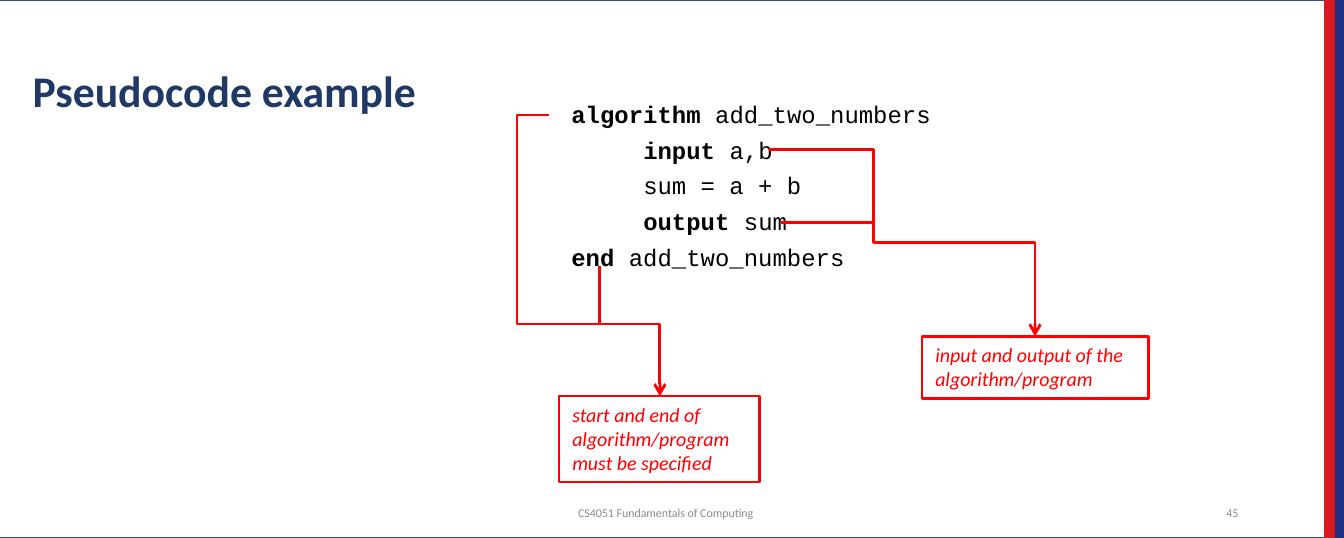
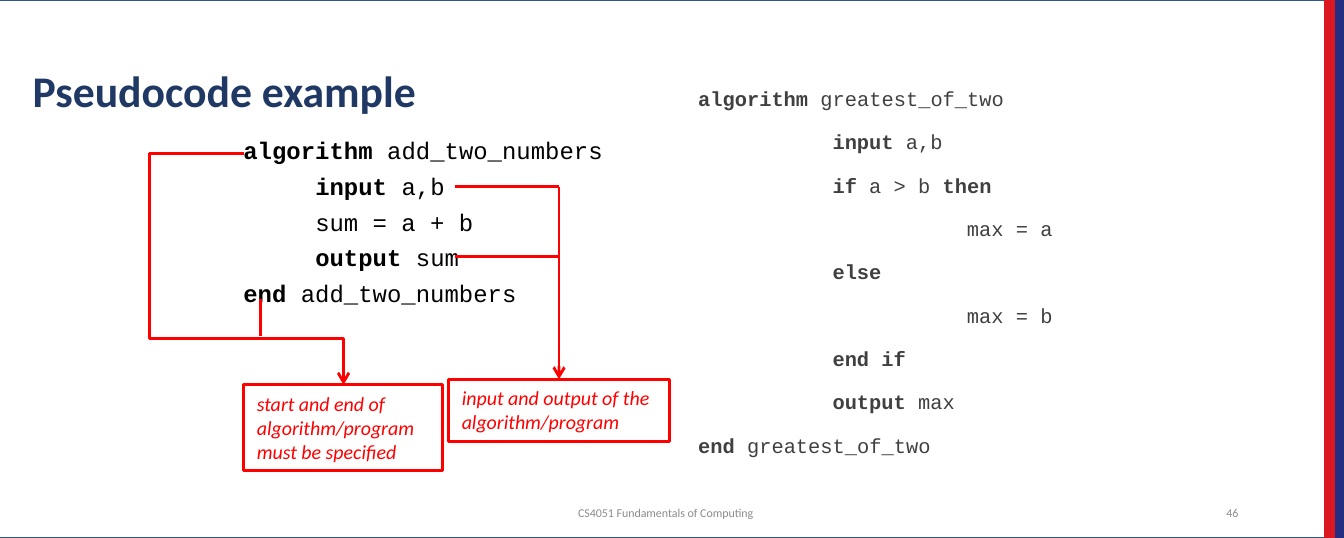
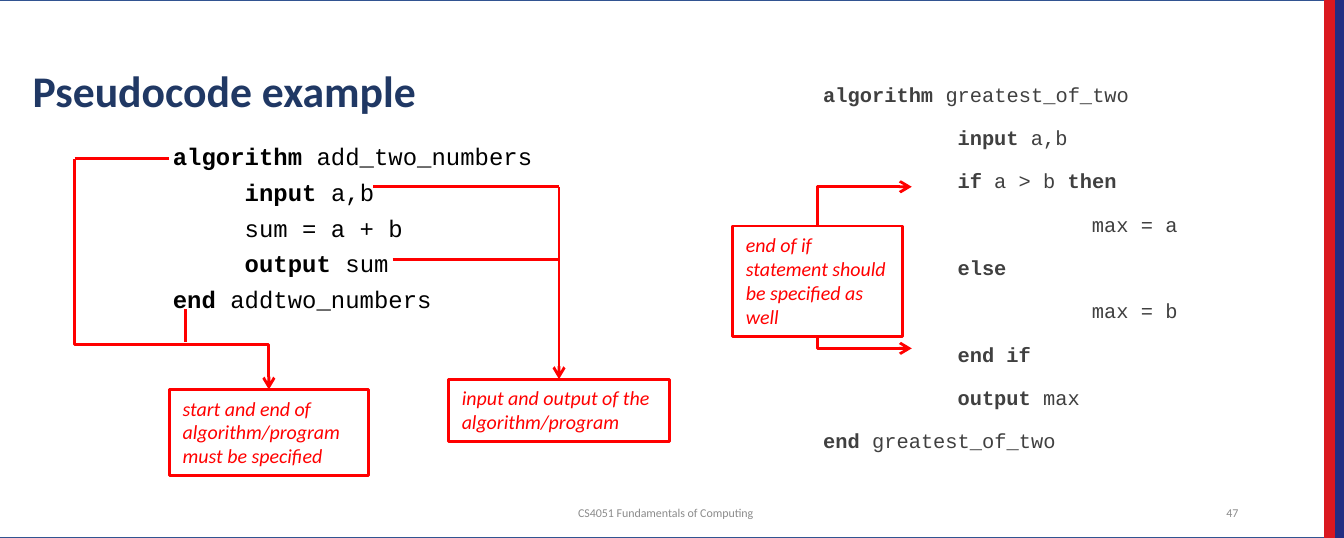
from lxml.etree import SubElement
from pptx import Presentation
from pptx.dml.color import RGBColor
from pptx.enum.shapes import MSO_CONNECTOR, MSO_SHAPE
from pptx.enum.text import MSO_ANCHOR, PP_ALIGN
from pptx.oxml.ns import qn
from pptx.util import Pt

WHITE = RGBColor(0xFF, 0xFF, 0xFF)
BLACK = RGBColor(0x00, 0x00, 0x00)
DARK_GREY = RGBColor(0x40, 0x40, 0x40)
GREY = RGBColor(0x8C, 0x8C, 0x8C)
NAVY = RGBColor(0x20, 0x38, 0x64)
FRAME_BLUE = RGBColor(0x32, 0x54, 0x91)
BAND_BLUE = RGBColor(0x23, 0x2D, 0x82)
BAND_RED = RGBColor(0xDA, 0x18, 0x20)
RED = RGBColor(0xFF, 0x00, 0x00)

# Frame and side bands: box, fill, line
BANDS = [
    ((-5, 0, 715, 288), WHITE, FRAME_BLUE),
    ((715, 0, 5, 288), BAND_BLUE, BAND_BLUE),
    ((710, 0, 5, 288), BAND_RED, BAND_RED),
]

# Code listings: indent level, then runs of (text, bold)
ADD_TWO = [
    (0, [("algorithm ", True), ("add_two_numbers", False)]),
    (1, [("input ", True), ("a,b", False)]),
    (1, [("sum = a + b", False)]),
    (1, [("output", True), (" sum", False)]),
    (0, [("end ", True), ("add_two_numbers", False)]),
]
ADD_TWO_LAST = ADD_TWO[:-1] + [(0, [("end ", True), ("addtwo_numbers", False)])]
GREATEST = [
    (0, [("algorithm ", True), ("greatest_of_two", False)]),
    (1, [("input ", True), ("a,b", False)]),
    (1, [("if", True), (" a > b ", False), ("then", True)]),
    (2, [("max = a", False)]),
    (1, [("else", True)]),
    (2, [("max = b", False)]),
    (1, [("end if", True)]),
    (1, [("output", True), (" max", False)]),
    (0, [("end ", True), ("greatest_of_two", False)]),
]

# Listing styles: size, colour, indent step, line height, space before, after, insets
LARGE = (12.8, BLACK, 38.5, 14, 5.2, 0, (7.2, 3.6))
SMALL = (10.9, DARK_GREY, 72, 9.2, 12, 2, (0, 2))

START_END = "start and end of algorithm/program must be specified"
IN_OUT = "input and output of the algorithm/program"
END_IF = "end of if statement should be specified as well"

# Each slide: listings, notes, arrows and plain lines
SLIDES = [
    dict(
        number="45",
        listings=[(294, 51, ADD_TWO, LARGE)],
        notes=[((299.5, 212, 107.5, 46), START_END),
               ((494, 180, 121.5, 33.3), IN_OUT)],
        arrows=[[(294, 61.5), (277, 61.5), (277, 173.5), (353.5, 173.5), (353.5, 212)],
                [(468, 80), (468, 130), (554.5, 130), (554.5, 180)]],
        lines=[[(321, 142.5), (321, 173.5)],
               [(412, 80), (468, 80)], [(418.5, 119), (468, 119)]],
    ),
    dict(
        number="46",
        listings=[(118.3, 70.3, ADD_TWO, LARGE), (369, 48, GREATEST, SMALL)],
        notes=[((130.5, 206, 106.5, 46), START_END),
               ((240.3, 203, 118.3, 33.3), IN_OUT)],
        arrows=[[(80, 82), (80, 181.5), (184, 181.5), (184, 206)],
                [(299.5, 100), (299.5, 203)]],
        lines=[[(80, 82), (130.5, 82)], [(139.5, 160), (139.5, 180)],
               [(243.5, 100), (299.5, 100)], [(243.5, 137.5), (299.5, 137.5)]],
    ),
    dict(
        number="47",
        listings=[(80.5, 73.5, ADD_TWO_LAST, LARGE), (436, 45.7, GREATEST, SMALL)],
        notes=[((90.8, 208.5, 106.5, 46), START_END),
               ((240.3, 203, 118.3, 33.3), IN_OUT),
               ((392.5, 121, 91, 59.3), END_IF)],
        arrows=[[(40, 85), (40, 184.5), (144, 184.5), (144, 208.5)],
                [(299.5, 100), (299.5, 203)],
                [(438, 121), (438, 100), (488.5, 100)],
                [(438, 180), (438, 186.5), (488.5, 186.5)]],
        lines=[[(40, 85), (90.8, 85)], [(99.5, 165.5), (99.5, 183)],
               [(200, 100), (299.5, 100)], [(210.3, 139), (299.5, 139)]],
    ),
]


def add_run(p, text, font, size, color, bold=False, italic=False):
    r = p.add_run()
    r.text = text
    r.font.name = font
    r.font.size = Pt(size)
    r.font.color.rgb = color
    r.font.bold = bold
    r.font.italic = italic


def add_route(s, points, arrow):
    """Draw one connector: 2 points straight, 3 or 4 vertical first, 5 horizontal first."""
    (x1, y1), (x2, y2) = points[0], points[-1]
    w, h = x2 - x1, y2 - y1
    count = len(points)
    if count in (3, 4):
        # The preset starts horizontally, so it is turned about its centre
        mx, my = (x1 + x2) / 2, (y1 + y2) / 2
        ends = (mx - abs(h) / 2, my - w / 2, mx + abs(h) / 2, my + w / 2)
    else:
        ends = (x1, y1, x2, y2)
    kind = MSO_CONNECTOR.ELBOW if count > 2 else MSO_CONNECTOR.STRAIGHT
    cx = s.shapes.add_connector(kind, *map(Pt, ends))
    cx.line.color.rgb = RED
    cx.line.width = Pt(1.5)
    spPr = cx.element.spPr
    SubElement(spPr, qn("a:effectLst"))
    if count > 2:
        geom = spPr.find(qn("a:prstGeom"))
        geom.set("prst", f"bentConnector{count - 1}")
        bends = {3: [],
                 4: [("adj1", (points[1][1] - y1) / h)],
                 5: [("adj1", (points[1][0] - x1) / w),
                     ("adj2", (points[2][1] - y1) / h)]}[count]
        for name, ratio in bends:
            SubElement(geom.find(qn("a:avLst")), qn("a:gd"), name=name,
                       fmla=f"val {round(ratio * 100000)}")
    if count in (3, 4):
        xfrm = spPr.find(qn("a:xfrm"))
        xfrm.set("rot", "16200000" if h > 0 else "5400000")
        xfrm.set("flipH", "1")
        xfrm.set("flipV", "0" if h > 0 else "1")
    if arrow:
        SubElement(spPr.find(qn("a:ln")), qn("a:tailEnd"), type="arrow")


prs = Presentation()
prs.slide_width, prs.slide_height = Pt(720), Pt(288)

for page in SLIDES:
    s = prs.slides.add_slide(prs.slide_layouts[6])

    # Frame and side bands
    for box, fill, line in BANDS:
        sp = s.shapes.add_shape(MSO_SHAPE.RECTANGLE, *map(Pt, box))
        sp.shadow.inherit = False
        sp.fill.solid()
        sp.fill.fore_color.rgb = fill
        sp.line.color.rgb = line
        sp.line.width = Pt(1)

    # Title, footer and slide number
    for box, text, size, color, bold, align, anchor in [
        ((10.4, 10.5, 660, 55.5), "Pseudocode example", 23.4, NAVY, True,
         PP_ALIGN.LEFT, MSO_ANCHOR.BOTTOM),
        ((187.3, 267.4, 338.5, 15), "CS4051 Fundamentals of Computing", 6.4, GREY, False,
         PP_ALIGN.CENTER, MSO_ANCHOR.MIDDLE),
        ((630, 267.4, 40.5, 15), page["number"], 6.4, GREY, False,
         PP_ALIGN.RIGHT, MSO_ANCHOR.MIDDLE),
    ]:
        tf = s.shapes.add_textbox(*map(Pt, box)).text_frame
        tf.word_wrap = True
        tf.vertical_anchor = anchor
        p = tf.paragraphs[0]
        p.alignment = align
        p.line_spacing = 0.9
        add_run(p, text, "Calibri", size, color, bold)

    # Code listings
    for x, y, code, style in page["listings"]:
        size, color, step, height, before, after, (inset_x, inset_y) = style
        tf = s.shapes.add_textbox(Pt(x), Pt(y), Pt(215), Pt(207)).text_frame
        tf.word_wrap = True
        tf.margin_left = tf.margin_right = Pt(inset_x)
        tf.margin_top = tf.margin_bottom = Pt(inset_y)
        for i, (level, runs) in enumerate(code):
            p = tf.add_paragraph() if i else tf.paragraphs[0]
            p._p.get_or_add_pPr().set("marL", str(Pt(5 + level * step)))
            p.line_spacing = Pt(height)
            p.space_before = Pt(before if i else 0)
            p.space_after = Pt(after)
            for text, bold in runs:
                add_run(p, text, "Courier New", size, color, bold)

    # Arrows and branch lines
    for points in page["arrows"]:
        add_route(s, points, arrow=True)
    for points in page["lines"]:
        add_route(s, points, arrow=False)

    # Notes
    for box, text in page["notes"]:
        sp = s.shapes.add_shape(MSO_SHAPE.RECTANGLE, *map(Pt, box))
        sp.shadow.inherit = False
        sp.fill.background()
        sp.line.color.rgb = RED
        sp.line.width = Pt(1.5)
        tf = sp.text_frame
        tf.word_wrap = True
        tf.vertical_anchor = MSO_ANCHOR.TOP
        p = tf.paragraphs[0]
        p.alignment = PP_ALIGN.LEFT
        add_run(p, text, "Calibri", 10.7, RED, italic=True)

prs.save("out.pptx")
